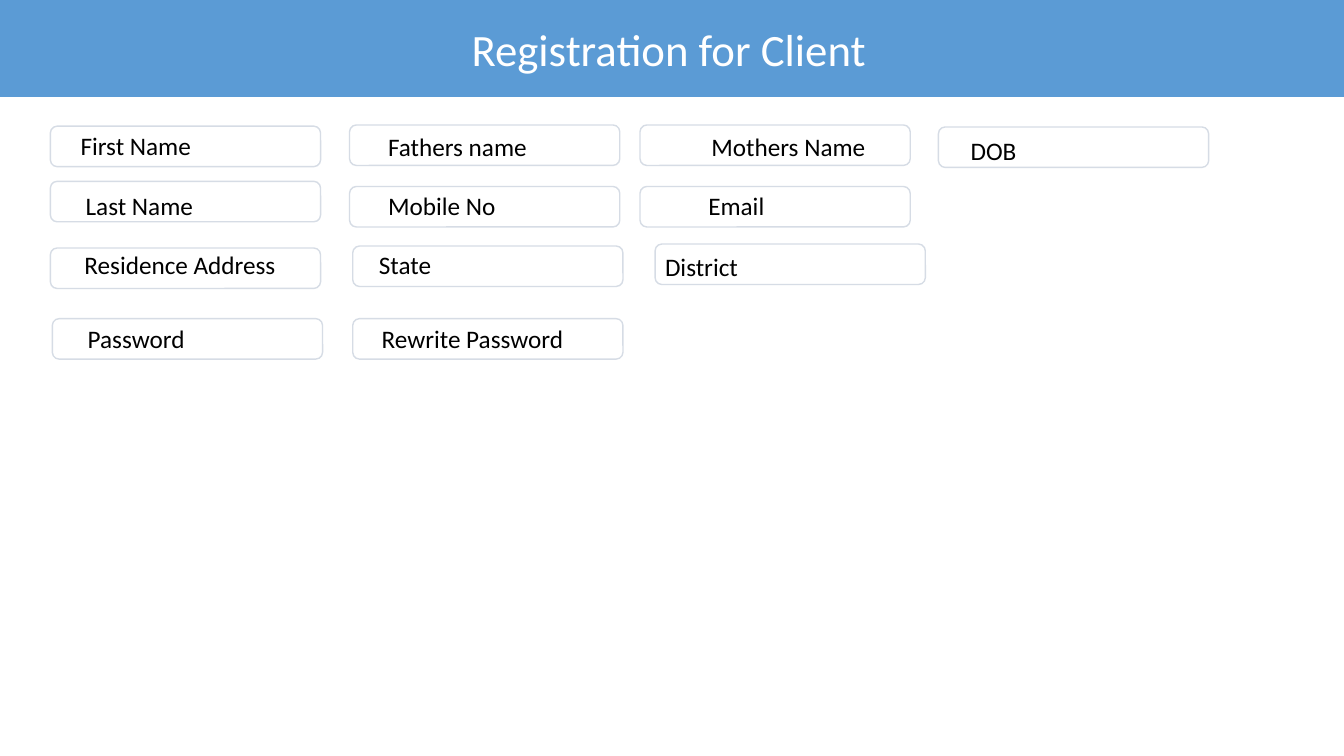
from pptx import Presentation
from pptx.dml.color import RGBColor
from pptx.enum.shapes import MSO_SHAPE
from pptx.enum.text import MSO_ANCHOR, MSO_AUTO_SIZE, PP_ALIGN
from pptx.util import Cm, Pt

RECTANGLE = MSO_SHAPE.RECTANGLE
ROUNDED = MSO_SHAPE.ROUNDED_RECTANGLE
TOP = MSO_ANCHOR.TOP
FIT_SHAPE = MSO_AUTO_SIZE.SHAPE_TO_FIT_TEXT
LEFT = PP_ALIGN.LEFT

COLORS = {"banner": "5B9BD5", "title": "FFFFFF", "outline": "D6DCE5", "label": "000000"}
TITLE_LAYOUT = 5
SLIDE_WIDTH, SLIDE_HEIGHT = 33.87, 19.05
FIELD_WIDTH, FIELD_HEIGHT = 6.81, 1.02

FIELDS = [
    ("First Name", (1.27, 3.18), (1.78, 3.15), 3.33),
    ("Fathers name", (8.81, 3.15), (9.53, 3.18), 4.04),
    ("Mothers Name", (16.13, 3.15), (17.68, 3.18), 4.45),
    ("DOB", (23.65, 3.2), (24.21, 3.28), 1.68),
    ("Last Name", (1.27, 4.57), (1.91, 4.67), 3.25),
    ("Mobile No", (8.81, 4.7), (9.53, 4.67), 3.25),
    ("Email", (16.13, 4.7), (17.6, 4.67), 1.93),
    ("Residence Address", (1.27, 6.25), (1.88, 6.15), 5.38),
    ("State", (8.89, 6.2), (9.3, 6.17), 1.83),
    ("District", (16.51, 6.15), (16.51, 6.22), 2.36),
    ("Password", (1.32, 8.03), (1.96, 8.03), 2.97),
    ("Rewrite Password", (8.89, 8.03), (9.37, 8.03), 5.13),
]


class FormPage:
    font = "Calibri"

    def __init__(self, deck):
        self.page = deck.slides.add_slide(deck.slide_layouts[TITLE_LAYOUT])

    def color(self, name):
        return RGBColor.from_string(COLORS[name])

    def set_text(self, box, text, size, color, wrap):
        frame = box.text_frame
        frame.text = text
        frame.word_wrap = wrap
        frame.auto_size = FIT_SHAPE
        frame.vertical_anchor = TOP
        para = frame.paragraphs[0]
        para.alignment = LEFT
        para.line_spacing = 1.0
        span = para.runs[0]
        span.font.name = self.font
        span.font.size = Pt(size)
        span.font.color.rgb = self.color(color)

    def shape(self, kind, left, top, width, height):
        box = self.page.shapes.add_shape(kind, Cm(left), Cm(top), Cm(width), Cm(height))
        box.shadow.inherit = False
        return box

    def banner(self, height):
        box = self.shape(RECTANGLE, 0, 0, SLIDE_WIDTH, height)
        box.fill.solid()
        box.fill.fore_color.rgb = self.color("banner")
        box.line.fill.background()
        title = self.page.shapes.title
        title.element.addprevious(box.element)

    def title(self, text, left, top, width, height):
        box = self.page.shapes.title
        box.left, box.top, box.width, box.height = map(Cm, (left, top, width, height))
        self.set_text(box, text, 32, "title", True)

    def field(self, left, top):
        box = self.shape(ROUNDED, left, top, FIELD_WIDTH, FIELD_HEIGHT)
        box.fill.background()
        box.line.color.rgb = self.color("outline")
        box.line.width = Pt(1)

    def label(self, text, left, top, width):
        box = self.page.shapes.add_textbox(Cm(left), Cm(top), Cm(width), Cm(FIELD_HEIGHT))
        self.set_text(box, text, 18, "label", False)


deck = Presentation()
deck.slide_width, deck.slide_height = Cm(SLIDE_WIDTH), Cm(SLIDE_HEIGHT)
form = FormPage(deck)
form.banner(2.44)
form.title("Registration for Client", 11.63, 0.41, 10.62, 1.63)
for text, field_corner, label_corner, label_width in FIELDS:
    form.field(*field_corner)
    form.label(text, *label_corner, label_width)
deck.save("out.pptx")
